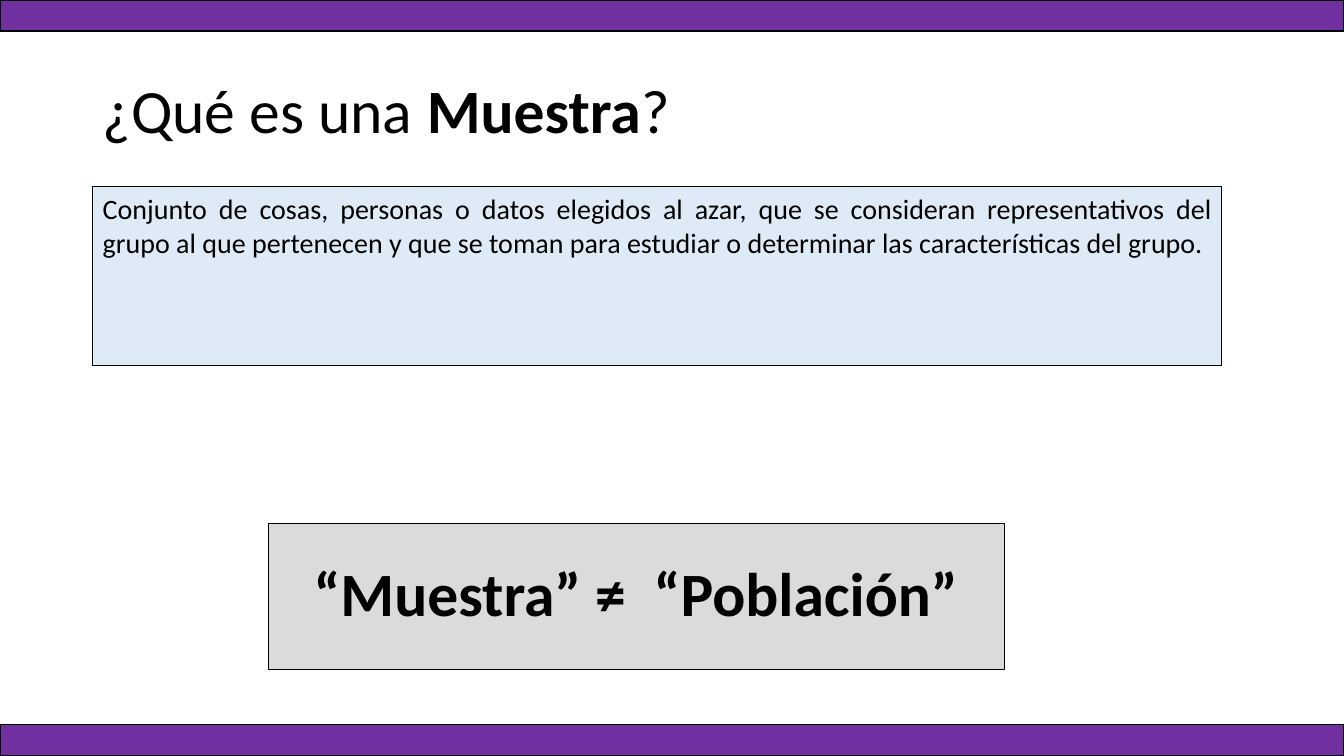
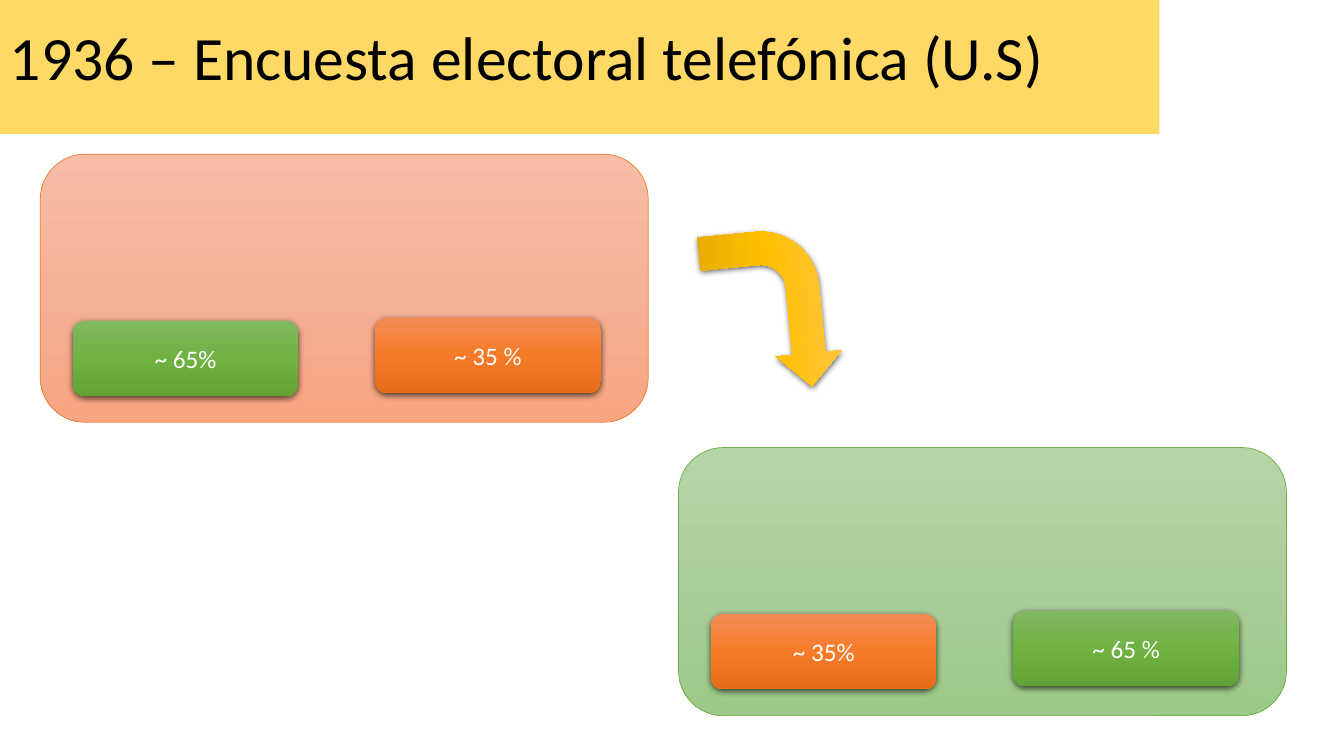
"""Build two slides about samples and a telephone election poll."""
from copy import deepcopy
from dataclasses import dataclass

from lxml import etree
from pptx import Presentation
from pptx.dml.color import RGBColor
from pptx.enum.shapes import MSO_SHAPE
from pptx.enum.text import MSO_ANCHOR, PP_ALIGN
from pptx.oxml.ns import qn
from pptx.util import Inches, Pt

RECT, ROUND, BENT = MSO_SHAPE.RECTANGLE, MSO_SHAPE.ROUNDED_RECTANGLE, MSO_SHAPE.BENT_ARROW
TOP, MID = MSO_ANCHOR.TOP, MSO_ANCHOR.MIDDLE
LEFT, CENTER, JUST = PP_ALIGN.LEFT, PP_ALIGN.CENTER, PP_ALIGN.JUSTIFY
BLANK = 6


@dataclass(frozen=True)
class Theme:
    font: str = "Calibri"
    big: int = 44
    body: int = 20
    small: int = 18
    black: str = "000000"
    white: str = "FFFFFF"
    purple: str = "7030A0"
    gray: str = "DBDBDB"
    blue: str = "DEEBF7"
    yellow: str = "FFD966"
    orange: str = "ED7D31"
    green: str = "70AD47"
    peach: tuple = ("F7BDA5", "F5B196", "F8A582")
    mint: tuple = ("B5D5A7", "AACE9A", "9CC987")
    leaf: tuple = ("81B861", "6FB242", "62A336")
    rust: tuple = ("F18C57", "F67B28", "E56C19")
    gold: tuple = ("FFC64B", "FFC000", "E3AB00")


def apply(item, values):
    for name, value in values.items():
        setattr(item, name, value)


class Deck:
    def __init__(self, theme):
        self.theme = theme
        self.file = Presentation()
        apply(self.file, {"slide_width": Inches(13.33), "slide_height": Inches(7.5)})
        self.slide = None

    def page(self):
        self.slide = self.file.slides.add_slide(self.file.slide_layouts[BLANK])

    def shape(self, kind, box, fill=None, line=None, width=0.75):
        shape = self.slide.shapes.add_shape(kind, *map(Inches, box))
        shape.shadow.inherit = False
        if isinstance(fill, tuple):
            self.blend(shape, fill)
        elif fill:
            shape.fill.solid()
            shape.fill.fore_color.rgb = RGBColor.from_string(fill)
        else:
            shape.fill.background()
        if line:
            shape.line.color.rgb = RGBColor.from_string(line)
            shape.line.width = Pt(width)
        else:
            shape.line.fill.background()
        return shape

    def blend(self, shape, colors):
        shape.fill.gradient()
        shape.fill.gradient_angle = 270
        stops = shape.element.spPr.find(".//" + qn("a:gsLst"))
        stops.insert(1, deepcopy(stops[0]))
        for index, (stop, color) in enumerate(zip(shape.fill.gradient_stops, colors)):
            stop.position = index / 2
            stop.color.rgb = RGBColor.from_string(color)

    def shade(self, shape):
        effect = shape.element.spPr.find(qn("a:effectLst"))
        values = {"blurRad": Pt(4.5), "dist": Pt(1.5), "dir": 5400000,
                  "algn": "ctr", "rotWithShape": 0}
        outer = etree.SubElement(effect, qn("a:outerShdw"),
                                 {name: str(value) for name, value in values.items()})
        color = etree.SubElement(outer, qn("a:srgbClr"), val=self.theme.black)
        etree.SubElement(color, qn("a:alpha"), val="63000")

    def text(self, shape, runs, size, color=None, align=CENTER, anchor=MID, space=1.0):
        frame = shape.text_frame
        apply(frame, {"word_wrap": True, "vertical_anchor": anchor})
        para = frame.paragraphs[0]
        apply(para, {"alignment": align, "line_spacing": space})
        for words, bold in runs:
            run = para.add_run()
            run.text = words
            apply(run.font, {"name": self.theme.font, "size": Pt(size), "bold": bold})
            run.font.color.rgb = RGBColor.from_string(color or self.theme.black)

    def title(self, left, top, runs, fill=None):
        shape = self.shape(RECT, (left, top, 11.5, 1.45), fill)
        self.text(shape, runs, self.theme.big, align=LEFT, space=0.9)

    def bands(self):
        for top in (0, 7.19):
            self.shape(RECT, (0, top, 13.33, 0.31), self.theme.purple, self.theme.black, 1)

    def panel(self, left, top, fill, line, pills):
        self.shape(ROUND, (left, top, 6.03, 2.66), fill, line, 0.5)
        for (words, tint), dx, dy in zip(pills, (0.32, 3.32), (1.65, 1.62)):
            pill = self.shape(ROUND, (left + dx, top + dy, 2.24, 0.75), tint)
            self.shade(pill)
            self.text(pill, [(words, False)], self.theme.small, self.theme.white)

    def arrow(self, box, turn):
        shape = self.shape(BENT, box, self.theme.gold)
        shape.rotation = turn
        self.shade(shape)


def main():
    theme = Theme()
    deck = Deck(theme)

    deck.page()
    deck.title(0.92, 0.4, [("¿Qué es una ", False), ("Muestra", True), ("?", False)])
    deck.bands()
    claim = deck.shape(RECT, (2.66, 5.19, 7.3, 1.45), theme.gray, theme.black)
    deck.text(claim, [("“Muestra” ≠  “Población”", True)], theme.big, space=0.9)
    note = deck.shape(RECT, (0.92, 1.85, 11.2, 1.78), theme.blue, theme.black)
    deck.text(note, [("Conjunto de cosas, personas o datos elegidos al azar, que se consideran "
                      "representativos del grupo al que pertenecen y que se toman para estudiar "
                      "o determinar las características del grupo.", False)],
              theme.body, align=JUST, anchor=TOP)

    deck.page()
    deck.title(0, -0.12, [("1936 – Encuesta electoral telefónica (U.S)", False)], theme.yellow)
    deck.panel(0.4, 1.53, theme.peach, theme.orange,
               [("~ 65%", theme.leaf), ("~ 35 %", theme.rust)])
    deck.arrow((6.86, 2.42, 1.58, 1.32), 84.5)
    deck.panel(6.73, 4.44, theme.mint, theme.green,
               [("~ 35%", theme.rust), ("~ 65 %", theme.leaf)])

    deck.file.save("out.pptx")


if __name__ == "__main__":
    main()
